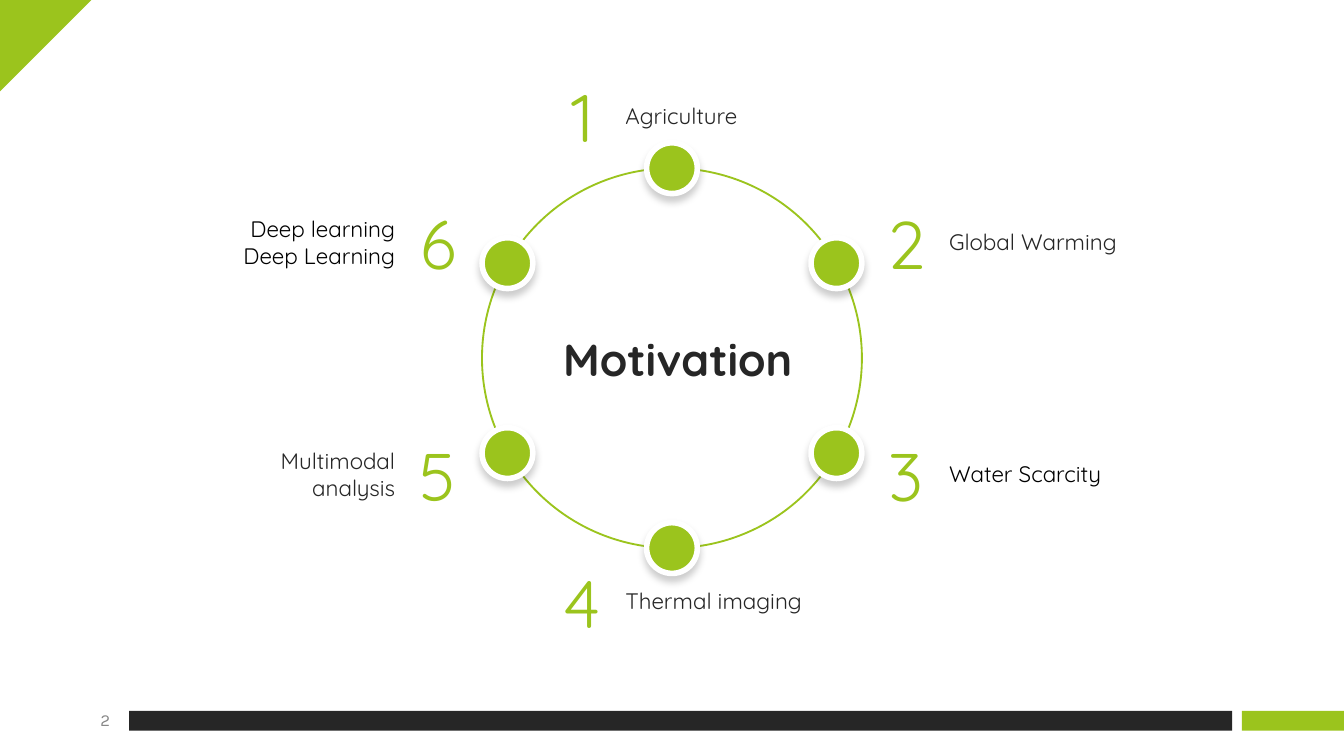
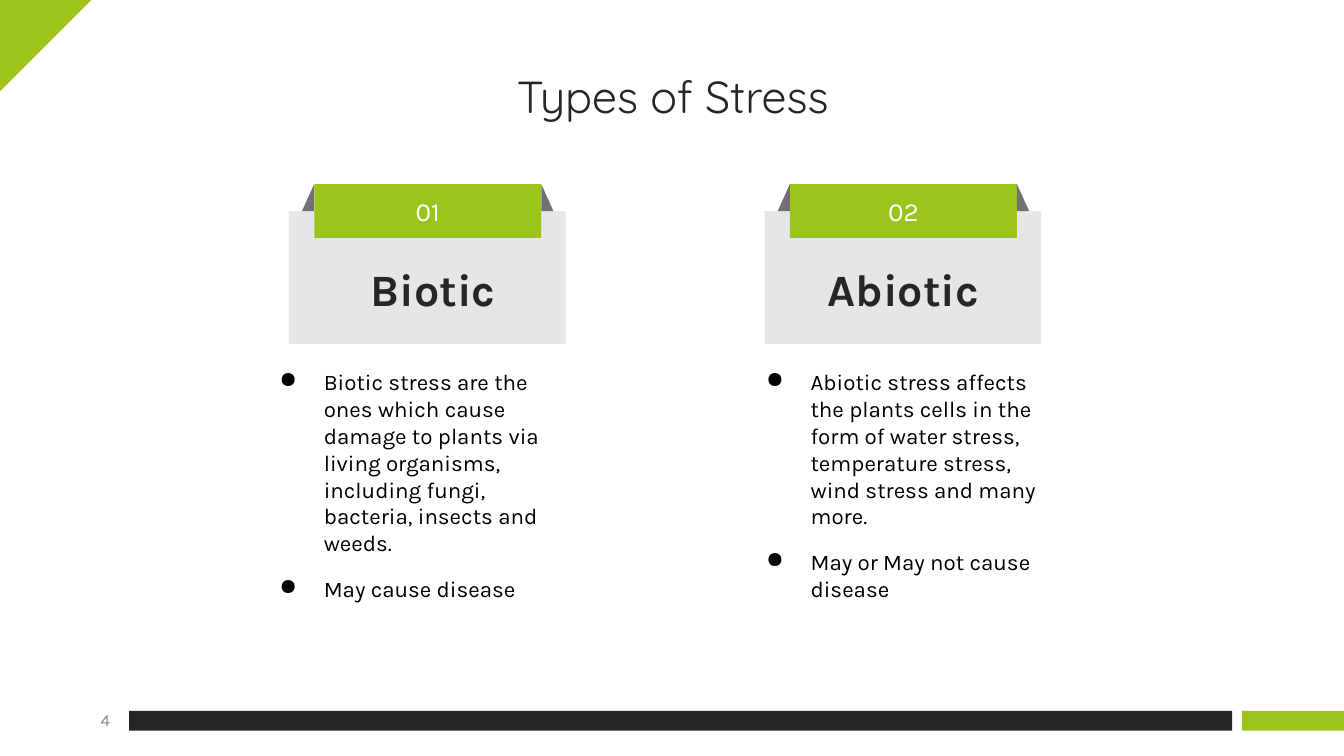
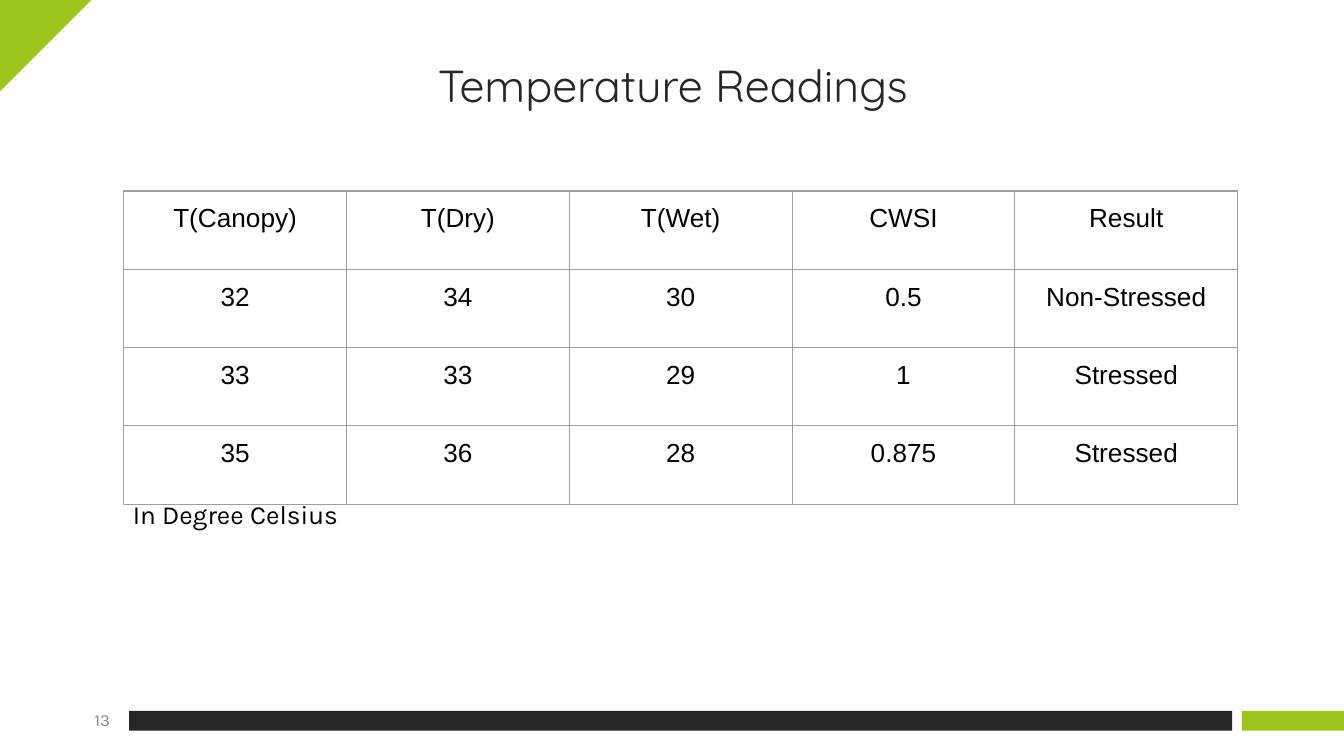
import dataclasses
import math
import typing

import lxml.etree
import pptx
import pptx.dml.color
import pptx.enum.shapes
import pptx.enum.text
import pptx.oxml.ns
import pptx.shapes.autoshape
import pptx.slide
import pptx.text.text
import pptx.util

Cm = pptx.util.Cm
Pt = pptx.util.Pt
Color = pptx.dml.color.RGBColor
Form = pptx.enum.shapes.MSO_SHAPE
Align = pptx.enum.text.PP_ALIGN
Anchor = pptx.enum.text.MSO_ANCHOR
Shape = pptx.shapes.autoshape.Shape
Slide = pptx.slide.Slide
qn = pptx.oxml.ns.qn

GREEN = Color(0x9B, 0xC4, 0x1D)
DARK = Color(0x26, 0x26, 0x26)
BLACK = Color(0, 0, 0)
WHITE = Color(0xFF, 0xFF, 0xFF)
PALE = Color(0xE7, 0xE6, 0xE6)
FOLD = Color(0x75, 0x70, 0x70)
GRAY = Color(0x88, 0x88, 0x88)
RULE = Color(0x9E, 0x9E, 0x9E)

HEAD_FONT = "Quicksand"
BODY_FONT = "Karla"
GRID_FONT = "Arial"

MID_X, MID_Y, RADIUS = 12.7, 6.77, 3.59
KNOT = 0.96
DIGIT_W, DIGIT_H = 1.63, 1.55
CARD_X, CARD_STEP = 5.46, 8.99


class Box(typing.NamedTuple):
    """A frame on the slide, in centimetres."""
    x: float
    y: float
    w: float
    h: float

    def size(self) -> list[pptx.util.Length]:
        return [Cm(side) for side in self]


@dataclasses.dataclass
class Step:
    label: str
    x: float
    y: float
    color: Color = DARK
    left: bool = False
    width: float = 3.4


@dataclasses.dataclass
class Card:
    head: str
    points: list[str]
    nudge: float
    indent: float
    width: float


STEPS = [
    Step("Agriculture", 10.19, 1.42),
    Step("Global Warming", 16.31, 3.81),
    Step("Water Scarcity", 16.31, 8.2, BLACK),
    Step("Thermal imaging", 10.19, 10.59, width=3.73),
    Step("Multimodal analysis", 7.47, 8.2, left=True),
    Step("Deep learning Deep Learning", 7.47, 3.81, BLACK, left=True),
]

CARDS = [
    Card("Biotic", [
        "Biotic stress are the ones which cause damage to plants via living "
        "organisms, including fungi, bacteria, insects and weeds.",
        "May cause disease",
    ], 0.1, 0.61, 5.84),
    Card("Abiotic", [
        "Abiotic stress affects the plants cells in the form of water stress, "
        "temperature stress, wind stress and many more.",
        "May or May not cause disease",
    ], 0, 0.4, 5.66),
]

READINGS = [
    ["T(Canopy)", "T(Dry)", "T(Wet)", "CWSI", "Result"],
    ["32", "34", "30", "0.5", "Non-Stressed"],
    ["33", "33", "29", "1", "Stressed"],
    ["35", "36", "28", "0.875", "Stressed"],
]


def add_bullet(para) -> None:
    props = para._p.get_or_add_pPr()
    props.set("marL", str(Cm(1.27)))
    props.set("indent", str(Cm(-0.84)))
    tint = lxml.etree.SubElement(props, qn("a:buClr"))
    lxml.etree.SubElement(tint, qn("a:srgbClr"), val=str(BLACK))
    lxml.etree.SubElement(props, qn("a:buChar"), char="●")


def write(frame: pptx.text.text.TextFrame, *lines: str, size: float,
          color: Color = DARK, font: str = BODY_FONT, bold: bool = False,
          align: Align = Align.LEFT, bullet: bool = False,
          gap: float = 0) -> None:
    """Put one paragraph per line into the frame, gap points apart."""
    for i, line in enumerate(lines):
        para = frame.add_paragraph() if i else frame.paragraphs[0]
        if bullet:
            add_bullet(para)
        para.alignment = align
        para.space_before = Pt(gap if i else 0)
        run = para.add_run()
        run.text = line
        run.font.size = Pt(size)
        run.font.name = font
        run.font.bold = bold
        run.font.color.rgb = color


def set_frame(frame: pptx.text.text.TextFrame, anchor: Anchor,
              side: float, top: float) -> None:
    frame.word_wrap = True
    frame.vertical_anchor = anchor
    frame.margin_left = frame.margin_right = Cm(side)
    frame.margin_top = frame.margin_bottom = Cm(top)


def add_text(slide: Slide, box: Box, *lines: str,
             anchor: Anchor = Anchor.MIDDLE, side: float = 0,
             top: float = 0, **style) -> None:
    frame = slide.shapes.add_textbox(*box.size()).text_frame
    set_frame(frame, anchor, side, top)
    write(frame, *lines, **style)


def add_form(slide: Slide, form: Form, box: Box, fill: Color | None = None,
             line: Color | None = None, width: float = 1) -> Shape:
    shape = slide.shapes.add_shape(form, *box.size())
    shape.shadow.inherit = False
    if fill is None:
        shape.fill.background()
    else:
        shape.fill.solid()
        shape.fill.fore_color.rgb = fill
    if line is None:
        shape.line.fill.background()
    else:
        shape.line.color.rgb = line
        shape.line.width = Pt(width)
    return shape


def add_shade(shape: Shape) -> None:
    """Give the shape a soft shadow straight below it."""
    effects = shape._element.spPr.find(qn("a:effectLst"))
    shade = lxml.etree.SubElement(
        effects, qn("a:outerShdw"), blurRad=str(Pt(4)), dist=str(Pt(3)),
        dir="5400000", algn="t", rotWithShape="0")
    tint = lxml.etree.SubElement(shade, qn("a:srgbClr"), val=str(BLACK))
    lxml.etree.SubElement(tint, qn("a:alpha"), val="20000")


def add_slide(deck, number: int) -> Slide:
    """Add a blank slide with the corner, the foot bars and its number."""
    slide = deck.slides.add_slide(deck.slide_layouts[6])
    corner = add_form(slide, Form.RIGHT_TRIANGLE, Box(0, 0, 1.73, 1.73), GREEN)
    corner.rotation = 90
    add_form(slide, Form.RECTANGLE, Box(2.44, 13.44, 20.85, 0.37), DARK)
    add_form(slide, Form.RECTANGLE, Box(23.47, 13.44, 1.93, 0.37), GREEN)
    add_text(slide, Box(0.86, 13.23, 1.4, 0.76), str(number), size=9,
             color=GRAY, align=Align.RIGHT, side=0.18, top=0.1)
    return slide


def add_title(slide: Slide, text: str, y: float) -> None:
    add_text(slide, Box(1.5, y, 22.43, 1.02), text, anchor=Anchor.TOP,
             size=24, font=HEAD_FONT, align=Align.CENTER)


def add_step(slide: Slide, digit: int, step: Step) -> None:
    add_text(slide, Box(step.x, step.y, DIGIT_W, DIGIT_H), str(digit),
             size=36, color=GREEN, font=HEAD_FONT, align=Align.CENTER)
    x = step.x - step.width if step.left else step.x + DIGIT_W
    add_text(slide, Box(x, step.y + 0.25, step.width, 1.02), step.label,
             size=12, color=step.color, font=HEAD_FONT,
             align=Align.RIGHT if step.left else Align.LEFT)


def add_knot(slide: Slide, place: int) -> None:
    """Set a dot on the ring, counting clockwise from the top."""
    turn = math.tau * place / len(STEPS)
    x = MID_X + RADIUS * math.sin(turn) - KNOT / 2
    y = MID_Y - RADIUS * math.cos(turn) - KNOT / 2
    add_shade(add_form(slide, Form.OVAL, Box(x, y, KNOT, KNOT),
                       GREEN, WHITE, 3))


def draw_ring(deck) -> None:
    slide = add_slide(deck, 2)
    add_form(slide, Form.OVAL, Box(MID_X - RADIUS, MID_Y - RADIUS,
                                   2 * RADIUS, 2 * RADIUS), line=GREEN)
    add_text(slide, Box(9.71, 5.74, 6.2, 2.06), "Motivation", size=24,
             font=HEAD_FONT, bold=True, align=Align.CENTER)
    for digit, step in enumerate(STEPS, 1):
        add_step(slide, digit, step)
    for place in range(len(STEPS)):
        add_knot(slide, place)


def add_card(slide: Slide, place: int, card: Card) -> None:
    x = CARD_X + place * CARD_STEP
    add_form(slide, Form.RECTANGLE, Box(x, 3.99, 5.23, 2.51), PALE)
    band = add_form(slide, Form.RECTANGLE, Box(x + 0.48, 3.48, 4.29, 1.02),
                    GREEN)
    set_frame(band.text_frame, Anchor.MIDDLE, 0.18, 0.1)
    write(band.text_frame, f"{place + 1:02}", size=14, color=WHITE,
          align=Align.CENTER)
    for shift, flip in ((0.25, True), (4.77, False)):
        fold = add_form(slide, Form.RIGHT_TRIANGLE,
                        Box(x + shift, 3.48, 0.23, 0.51), FOLD)
        if flip:
            fold._element.spPr.xfrm.set("flipH", "1")
    add_text(slide, Box(x + 0.48 + card.nudge, 4.88, 4.29, 1.14), card.head,
             size=24, bold=True, align=Align.CENTER)
    add_text(slide, Box(x - card.indent, 6.96, card.width, 4.62),
             *card.points, anchor=Anchor.TOP, size=12, color=BLACK,
             bullet=True, gap=10)


def draw_cards(deck) -> None:
    slide = add_slide(deck, 4)
    add_title(slide, "Types of Stress", 1.3)
    for place, card in enumerate(CARDS):
        add_card(slide, place, card)


def fill_cell(cell, text: str) -> None:
    cell.margin_left = cell.margin_right = Cm(0.25)
    cell.margin_top = cell.margin_bottom = Cm(0.25)
    props = cell._tc.get_or_add_tcPr()
    for edge in "LRTB":
        line = lxml.etree.SubElement(props, qn(f"a:ln{edge}"),
                                     w=str(Pt(0.75)))
        paint = lxml.etree.SubElement(line, qn("a:solidFill"))
        lxml.etree.SubElement(paint, qn("a:srgbClr"), val=str(RULE))
    cell.fill.background()
    write(cell.text_frame, text, size=14, color=BLACK, font=GRID_FONT,
          align=Align.CENTER)


def draw_table(deck) -> None:
    slide = add_slide(deck, 13)
    add_title(slide, "Temperature Readings", 1.09)
    add_text(slide, Box(2.26, 9.17, 4.45, 1.52), "In Degree Celsius",
             anchor=Anchor.TOP, side=0.25, top=0.25, size=14, color=BLACK)
    rows, cols = len(READINGS), len(READINGS[0])
    box = Box(2.34, 3.61, 4.21 * cols, 1.48 * rows)
    table = slide.shapes.add_table(rows, cols, *box.size()).table
    table.first_row = table.horz_banding = False
    for i, row in enumerate(READINGS):
        for j, text in enumerate(row):
            fill_cell(table.cell(i, j), text)


def main() -> None:
    deck = pptx.Presentation()
    deck.slide_width, deck.slide_height = Cm(25.4), Cm(14.29)
    draw_ring(deck)
    draw_cards(deck)
    draw_table(deck)
    deck.save("out.pptx")


if __name__ == "__main__":
    main()
